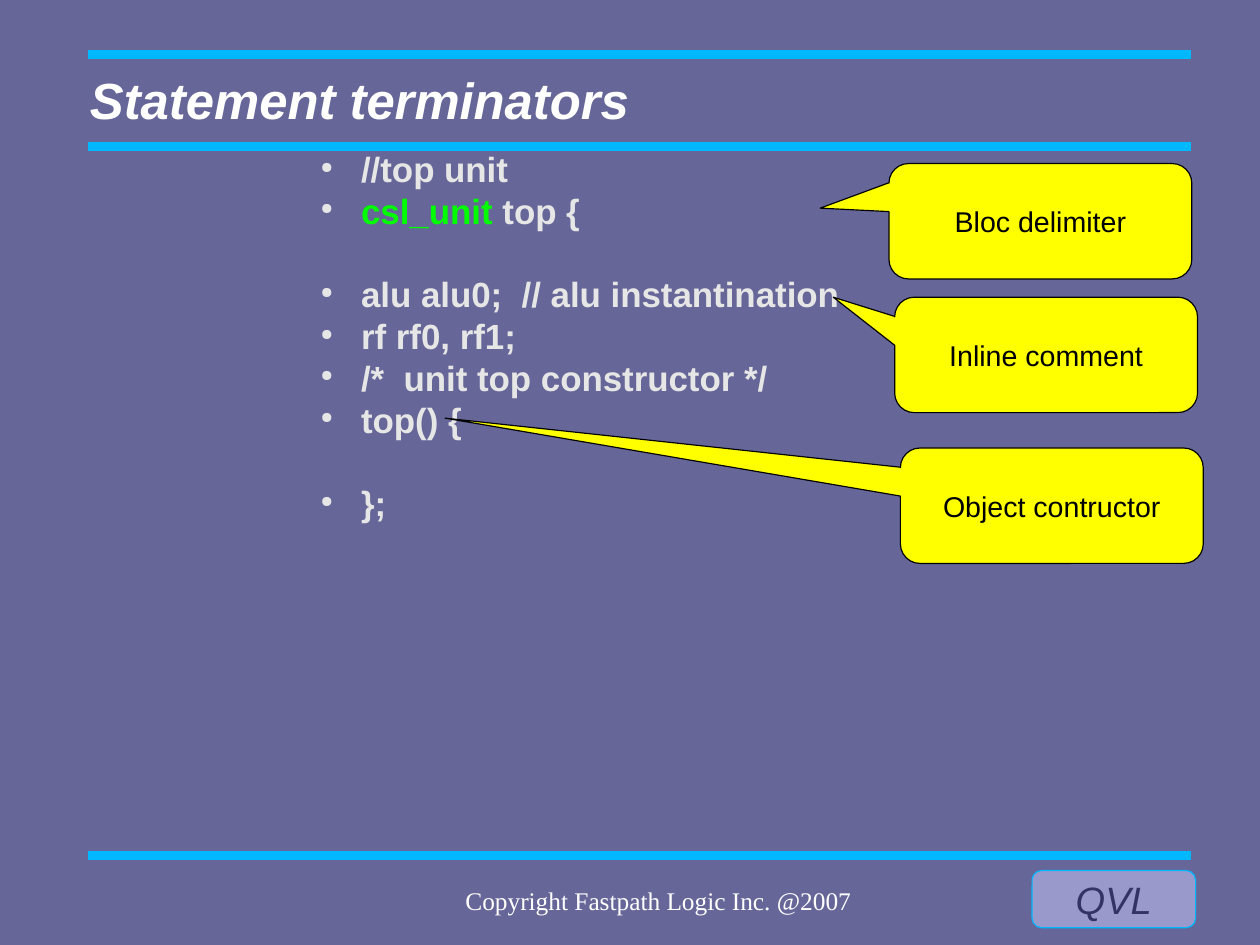
from dataclasses import dataclass

from lxml.etree import SubElement
from pptx import Presentation
from pptx.dml.color import RGBColor
from pptx.enum.shapes import MSO_CONNECTOR, MSO_SHAPE
from pptx.enum.text import MSO_ANCHOR, PP_ALIGN
from pptx.oxml.ns import qn
from pptx.util import Pt


@dataclass(frozen=True)
class Theme:
    """Colours, fonts and type sizes of the slide."""
    background: str = "666699"
    rule: str = "00B8FF"
    badge_fill: str = "9999CC"
    badge_text: str = "333366"
    white: str = "FFFFFF"
    code: str = "E6E6E6"
    keyword: str = "00FF00"
    callout_fill: str = "FFFF00"
    black: str = "000000"
    sans: str = "Arial"
    serif: str = "Times New Roman"
    bullet_font: str = "StarSymbol"
    title_size: float = 32
    badge_size: float = 24
    code_size: float = 22
    callout_size: float = 18
    footer_size: float = 16
    code_pitch: float = 26.3
    rule_width: float = 5.67


THEME = Theme()
CODE_LINES = [
    (0, [("//top unit", THEME.code)]),
    (0, [("csl_unit", THEME.keyword), (" top {", THEME.code)]),
    (1, [("alu alu0;  // alu instantination", THEME.code)]),
    (0, [("rf rf0, rf1;", THEME.code)]),
    (0, [("/*  unit top constructor */", THEME.code)]),
    (0, [("top() {", THEME.code)]),
    (1, [("};", THEME.code)]),
]
CALLOUTS = [
    ("Inline comment", (563.6, 187.2), (524.9, 187.2)),
    ("Object contructor", (567.2, 282.2), (280.4, 263.4)),
    ("Bloc delimiter", (560, 103), (516.7, 131.1)),
]
CALLOUT_SIZE = (190.8, 72.7)


def add_run(paragraph, text, size, color, font=THEME.sans, bold=False, italic=False):
    """Add one formatted run to a paragraph."""
    run = paragraph.add_run()
    run.text = text
    run.font.name = font
    run.font.size = Pt(size)
    run.font.bold = bold
    run.font.italic = italic
    run.font.color.rgb = RGBColor.from_string(color)


def set_frame(shape, margins=(0, 0), anchor=MSO_ANCHOR.TOP, wrap=True):
    """Set margins, anchor and wrapping, and return the text frame."""
    frame = shape.text_frame
    frame.margin_left = frame.margin_right = Pt(margins[0])
    frame.margin_top = frame.margin_bottom = Pt(margins[1])
    frame.vertical_anchor = anchor
    frame.word_wrap = wrap
    return frame


def add_text_box(slide, box, anchor=MSO_ANCHOR.TOP):
    """Add a text box without margins and return its text frame."""
    return set_frame(slide.shapes.add_textbox(*map(Pt, box)), anchor=anchor)


def add_panel(slide, kind, box, fill, line):
    """Add a filled shape with a hairline outline."""
    shape = slide.shapes.add_shape(kind, *map(Pt, box))
    shape.shadow.inherit = False
    shape.fill.solid()
    shape.fill.fore_color.rgb = RGBColor.from_string(fill)
    shape.line.color.rgb = RGBColor.from_string(line)
    shape.line.width = Pt(0)
    return shape


def add_rules(slide, left, right, heights):
    """Draw the horizontal rules that frame the slide."""
    for top in heights:
        rule = slide.shapes.add_connector(
            MSO_CONNECTOR.STRAIGHT, Pt(left), Pt(top), Pt(right), Pt(top))
        rule.line.color.rgb = RGBColor.from_string(THEME.rule)
        rule.line.width = Pt(THEME.rule_width)
        SubElement(rule._element.spPr, qn("a:effectLst"))


def add_badge(slide, box):
    """Draw the rounded badge in the bottom corner."""
    badge = add_panel(slide, MSO_SHAPE.ROUNDED_RECTANGLE, box, THEME.badge_fill, THEME.rule)
    paragraph = set_frame(badge, anchor=MSO_ANCHOR.MIDDLE).paragraphs[0]
    paragraph.alignment = PP_ALIGN.CENTER
    add_run(paragraph, "QVL", THEME.badge_size, THEME.badge_text, italic=True)


def add_title(slide, box):
    """Write the slide title."""
    paragraph = add_text_box(slide, box, MSO_ANCHOR.MIDDLE).paragraphs[0]
    add_run(paragraph, "Statement terminators", THEME.title_size, THEME.white,
            bold=True, italic=True)


def add_bullet(paragraph):
    """Give a paragraph a small round bullet and a hanging indent."""
    properties = paragraph._p.get_or_add_pPr()
    properties.set("marL", str(Pt(34)))
    properties.set("indent", str(-Pt(25.5)))
    color = SubElement(properties, qn("a:buClr"))
    SubElement(color, qn("a:srgbClr"), val=THEME.code)
    SubElement(properties, qn("a:buSzPct"), val="45000")
    SubElement(properties, qn("a:buFont"), typeface=THEME.bullet_font)
    SubElement(properties, qn("a:buChar"), char="●")


def add_code(slide, box):
    """Write the bulleted code listing."""
    frame = add_text_box(slide, box)
    for index, (skipped_lines, runs) in enumerate(CODE_LINES):
        paragraph = frame.add_paragraph() if index else frame.paragraphs[0]
        add_bullet(paragraph)
        paragraph.line_spacing = Pt(THEME.code_pitch)
        paragraph.space_before = Pt(skipped_lines * THEME.code_pitch)
        for text, color in runs:
            add_run(paragraph, text, THEME.code_size, color, bold=True)


def add_callout(slide, text, box, tip):
    """Draw a callout in its box with the pointer ending at the tip."""
    left, top, width, height = box
    callout = add_panel(slide, MSO_SHAPE.ROUNDED_RECTANGULAR_CALLOUT, box,
                        THEME.callout_fill, THEME.black)
    callout.adjustments[0] = (tip[0] - left) / width - 0.5
    callout.adjustments[1] = (tip[1] - top) / height - 0.5
    callout.adjustments[2] = 0.17
    frame = set_frame(callout, (7.2, 3.6), MSO_ANCHOR.MIDDLE, wrap=False)
    paragraph = frame.paragraphs[0]
    paragraph.alignment = PP_ALIGN.CENTER
    add_run(paragraph, text, THEME.callout_size, THEME.black)


def add_footer(slide, box):
    """Write the copyright line."""
    paragraph = add_text_box(slide, box).paragraphs[0]
    paragraph.alignment = PP_ALIGN.CENTER
    add_run(paragraph, "Copyright Fastpath Logic Inc. @2007", THEME.footer_size,
            THEME.white, THEME.serif)


def main():
    """Build the slide and save it."""
    presentation = Presentation()
    presentation.slide_width = Pt(793.75)
    presentation.slide_height = Pt(595.25)
    slide = presentation.slides.add_slide(presentation.slide_layouts[6])
    slide.background.fill.solid()
    slide.background.fill.fore_color.rgb = RGBColor.from_string(THEME.background)
    add_rules(slide, 55.4, 750.2, (34.1, 538.6, 92.6))
    add_badge(slide, (650.2, 548.4, 103, 36))
    add_title(slide, (56.7, 20.2, 677.5, 85))
    add_code(slide, (193.5, 93, 340, 437.8))
    for text, corner, tip in CALLOUTS:
        add_callout(slide, text, corner + CALLOUT_SIZE, tip)
    add_footer(slide, (271.4, 557.7, 286.6, 25.2))
    presentation.save("out.pptx")


if __name__ == "__main__":
    main()
